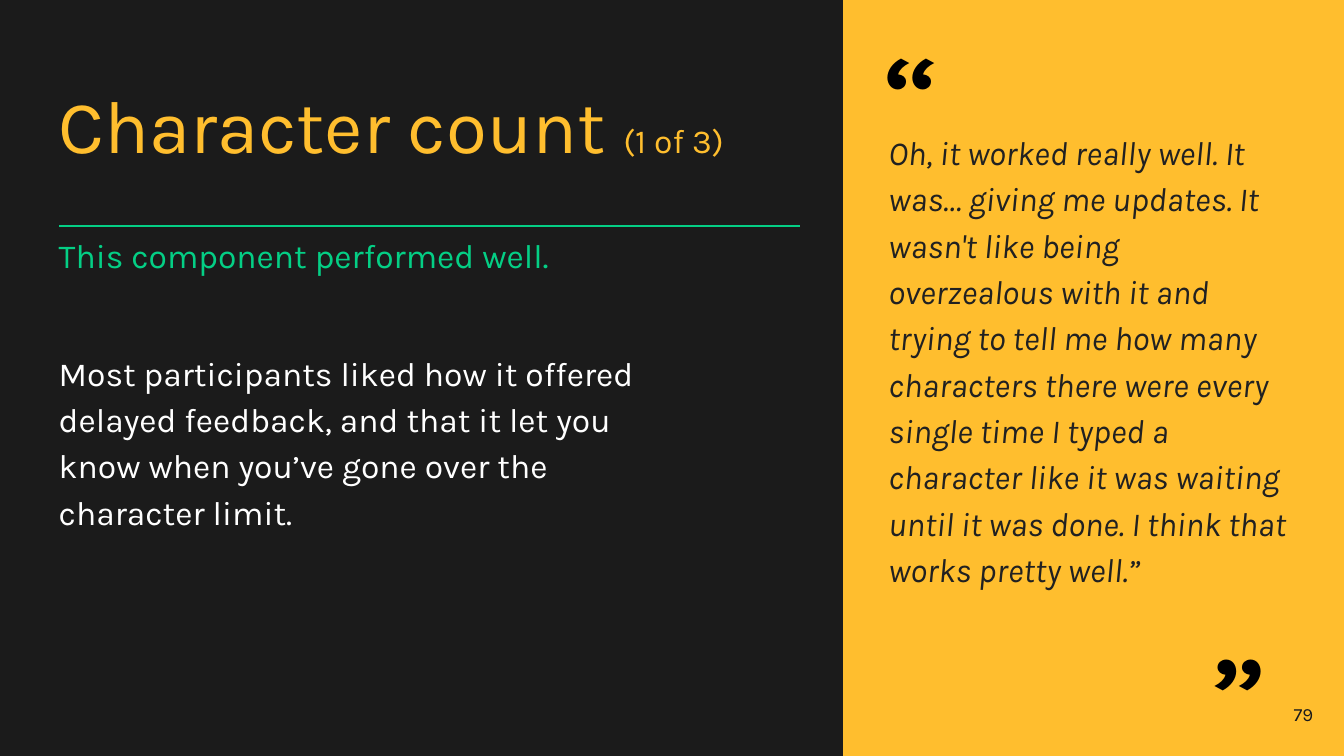
"""Builds the character count research slide with its participant quote."""
from lxml import etree
from pptx import Presentation
from pptx.dml.color import RGBColor
from pptx.enum.shapes import MSO_CONNECTOR, MSO_SHAPE
from pptx.enum.text import MSO_ANCHOR, MSO_AUTO_SIZE, PP_ALIGN
from pptx.oxml.ns import qn
from pptx.util import Cm, Pt

STRAIGHT = MSO_CONNECTOR.STRAIGHT
PROCESS = MSO_SHAPE.FLOWCHART_PROCESS
TOP, MIDDLE = MSO_ANCHOR.TOP, MSO_ANCHOR.MIDDLE
LEFT, RIGHT = PP_ALIGN.LEFT, PP_ALIGN.RIGHT
NO_FIT = MSO_AUTO_SIZE.NONE
COLORS = {
    "dark": "1B1B1B",
    "yellow": "FFBE2E",
    "green": "04CF85",
    "white": "FFFFFF",
    "ink": "212121",
    "black": "000000",
}


def color(name):
    return RGBColor.from_string(COLORS[name])


def write(box, place, spans, tint, align=LEFT, anchor=TOP, italic=False, spacing=1.0, after=0):
    box.left, box.top, box.width, box.height = [Cm(length) for length in place]
    frame = box.text_frame
    frame_format = {
        "word_wrap": True, "auto_size": NO_FIT, "vertical_anchor": anchor,
        "margin_left": Cm(0.25), "margin_right": Cm(0.25),
        "margin_top": Cm(0.25), "margin_bottom": Cm(0.25),
    }
    for name, value in frame_format.items():
        setattr(frame, name, value)
    para = frame.paragraphs[0]
    para_format = {
        "alignment": align, "line_spacing": spacing,
        "space_before": Pt(0), "space_after": Pt(after),
    }
    for name, value in para_format.items():
        setattr(para, name, value)
    properties = para._p.get_or_add_pPr()
    properties.set("marL", "0")
    properties.set("indent", "0")
    etree.SubElement(properties, qn("a:buNone"))
    for text, size in spans:
        span = para.add_run()
        span.text = text
        span_format = {"name": "Karla", "size": Pt(size), "bold": False, "italic": italic}
        for name, value in span_format.items():
            setattr(span.font, name, value)
        span.font.color.rgb = color(tint)


deck = Presentation()
deck.slide_width, deck.slide_height = Cm(25.4), Cm(14.29)
page = deck.slides.add_slide(deck.slide_layouts[4])
page.background.fill.solid()
page.background.fill.fore_color.rgb = color("dark")
title, finding, detail, quote, spare = page.placeholders
spare.element.getparent().remove(spare.element)

panel = page.shapes.add_shape(PROCESS, Cm(15.93), Cm(0), Cm(9.47), deck.slide_height)
panel.shadow.inherit = False
panel.fill.solid()
panel.fill.fore_color.rgb = color("yellow")
panel.line.fill.background()
panel.element.getparent().insert(2, panel.element)

rule = page.shapes.add_connector(STRAIGHT, Cm(1.12), Cm(4.27), Cm(15.11), Cm(4.27))
rule.line.color.rgb = color("green")
rule.line.width = Pt(0.75)
etree.SubElement(rule.element.spPr, qn("a:effectLst"))

write(title, (0.86, 1.24, 23.67, 1.6), [("Character count ", 40), ("(1 of 3)", 18)], "yellow")
write(finding, (0.86, 4.19, 14.25, 1.6), [("This component performed well.", 18)], "green")
write(detail, (0.86, 6.3, 12.32, 6.38), [(
    "Most participants liked how it offered delayed feedback, and that it let you "
    "know when you’ve gone over the character limit.", 18)], "white", spacing=1.15, after=16)
write(quote, (16.54, 2.13, 8.1, 8.71), [(
    "Oh, it worked really well. It was… giving me updates. It wasn't like being "
    "overzealous with it and trying to tell me how many characters there were every "
    "single time I typed a character like it was waiting until it was done. "
    "I think that works pretty well.”", 18)], "ink", italic=True, spacing=1.15)

labels = [
    ("“", (16.43, -0.18, 2.44, 2.26), 80, "black", LEFT, TOP),
    ("”", (22.61, 11.18, 1.93, 2.26), 80, "black", LEFT, TOP),
    ("79", (23.55, 12.95, 1.52, 1.09), 10, "dark", RIGHT, MIDDLE),
]
for text, place, size, tint, align, anchor in labels:
    label = page.shapes.add_textbox(0, 0, 0, 0)
    write(label, place, [(text, size)], tint, align, anchor)

deck.save("out.pptx")
